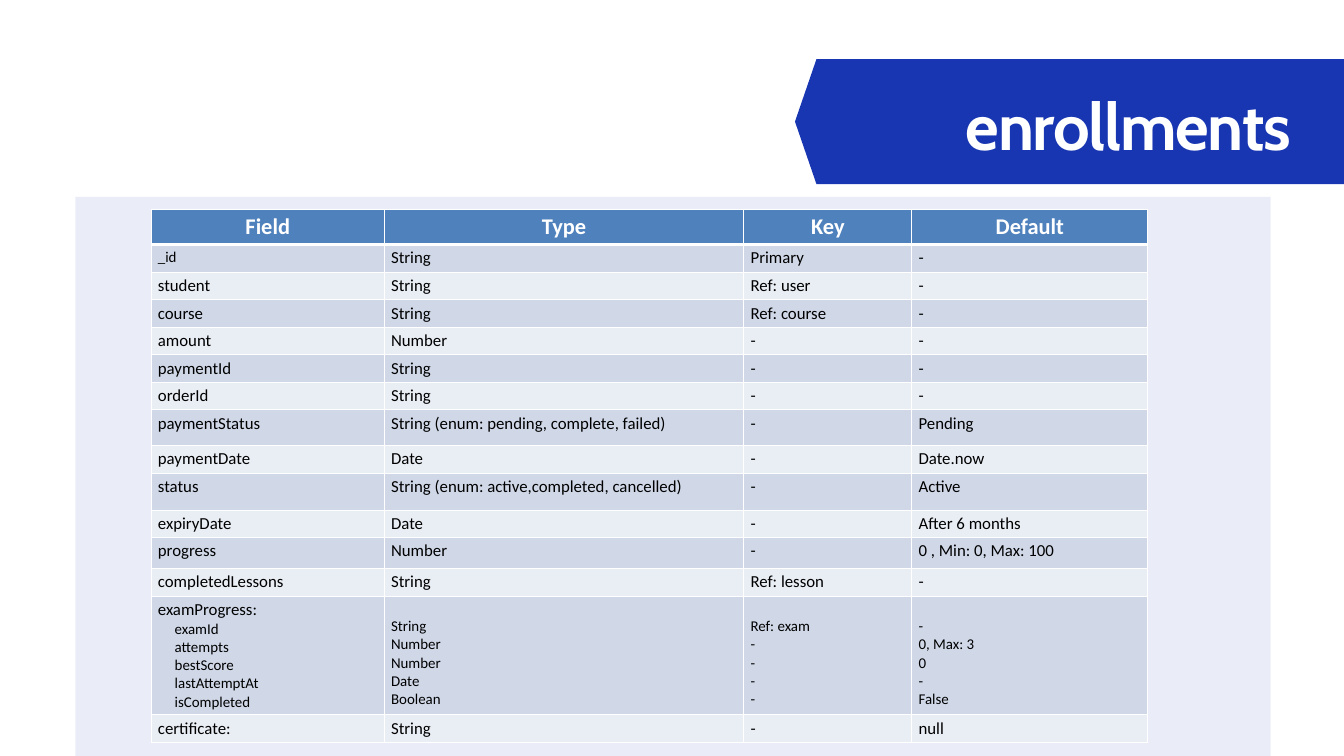
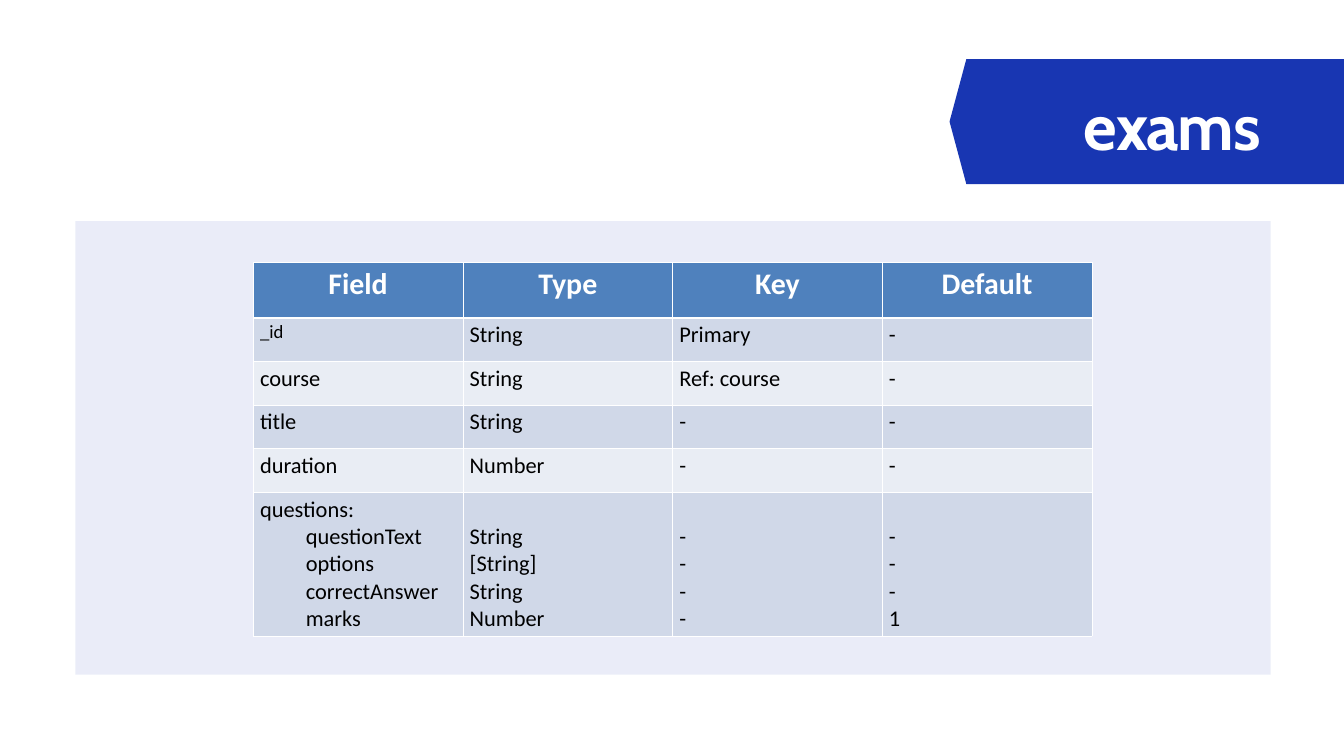
from dataclasses import dataclass

from lxml.etree import SubElement
from pptx import Presentation
from pptx.dml.color import RGBColor
from pptx.enum.shapes import MSO_SHAPE
from pptx.enum.text import MSO_ANCHOR, MSO_AUTO_SIZE, PP_ALIGN
from pptx.oxml import parse_xml
from pptx.oxml.ns import nsdecls, qn
from pptx.util import Inches, Pt


@dataclass(frozen=True)
class Theme:
    blue: str = "1836B2"
    header: str = "4F81BD"
    dark_band: str = "D0D8E8"
    light_band: str = "E9EDF4"
    white: str = "FFFFFF"
    black: str = "000000"
    title_font: str = "Cabin"
    table_font: str = "Calibri"
    title_size: int = 70
    title_leading: int = 98
    panel_opacity: int = 9  # percent


THEME = Theme()
COLUMNS = ["Field", "Type", "Key", "Default"]

# Schemas: a list in a cell holds the subfields of an embedded object
SCHEMAS = [
    dict(
        title="enrollments", title_left=14.37, title_width=6.29,
        flag_left=11.83, flag_width=8.78, flag_tip=0.32,
        panel_top=2.93, panel_height=8.53,
        table_left=2.25, table_top=3.12,
        widths=[3.47, 5.35, 2.5, 3.51],
        header_height=0.52, row_height=0.41,
        tall_rows={"paymentStatus": 0.53, "status": 0.55, "progress": 0.46,
                   "examProgress:": 1.77},
        header_size=24, body_size=18, id_size=16, nested_size=16,
        nested_indent=0.25,
        rows=[
            ["_id", "String", "Primary", "-"],
            ["student", "String", "Ref: user", "-"],
            ["course", "String", "Ref: course", "-"],
            ["amount", "Number", "-", "-"],
            ["paymentId", "String", "-", "-"],
            ["orderId", "String", "-", "-"],
            ["paymentStatus", "String (enum: pending, complete, failed)", "-", "Pending"],
            ["paymentDate", "Date", "-", "Date.now"],
            ["status", "String (enum: active,completed, cancelled)", "-", "Active"],
            ["expiryDate", "Date", "-", "After 6 months"],
            ["progress", "Number", "-", "0 , Min: 0, Max: 100"],
            ["completedLessons", "String", "Ref: lesson", "-"],
            [["examProgress:", "examId", "attempts", "bestScore", "lastAttemptAt",
              "isCompleted"],
             ["String", "Number", "Number", "Date", "Boolean"],
             ["Ref: exam", "-", "-", "-", "-"],
             ["-", "0, Max: 3", "0", "-", "False"]],
            ["certificate:", "String", "-", "null"],
        ],
    ),
    dict(
        title="exams", title_left=16.13, title_width=4.95,
        flag_left=14.13, flag_width=6.92, flag_tip=0.25,
        panel_top=3.29, panel_height=6.75,
        table_left=3.77, table_top=3.91,
        widths=[3.12] * 4,
        header_height=0.82, row_height=0.65,
        tall_rows={"questions:": 0.72},
        header_size=32, body_size=24, id_size=20, nested_size=24,
        nested_indent=0.68,
        rows=[
            ["_id", "String", "Primary", "-"],
            ["course", "String", "Ref: course", "-"],
            ["title", "String", "-", "-"],
            ["duration", "Number", "-", "-"],
            [["questions:", "questionText", "options", "correctAnswer", "marks"],
             ["String", "[String]", "String", "Number"],
             ["-", "-", "-", "-"],
             ["-", "-", "-", "1"]],
        ],
    ),
]


def add_span(para, text, font, size, color, bold=False):
    span = para.add_run()
    span.text = text
    span.font.name = font
    span.font.size = Pt(size)
    span.font.bold = bold
    span.font.color.rgb = RGBColor.from_string(color)
    return span


def style_cell(cell, color, bottom_width=1):
    cell.fill.solid()
    cell.fill.fore_color.rgb = RGBColor.from_string(color)
    properties = cell._tc.get_or_add_tcPr()
    for position, side in enumerate("LRTB"):
        width = Pt(bottom_width if side == "B" else 1)
        properties.insert(position, parse_xml(
            f'<a:ln{side} {nsdecls("a")} w="{width}"><a:solidFill>'
            f'<a:srgbClr val="{THEME.white}"/></a:solidFill></a:ln{side}>'))


deck = Presentation()
deck.slide_width = Inches(20)
deck.slide_height = Inches(11.25)

for schema in SCHEMAS:
    page = deck.slides.add_slide(deck.slide_layouts[5])

    # Title flag, pointed at both ends and running past the right edge
    left, tip = schema["flag_left"], schema["flag_tip"]
    right = left + schema["flag_width"]
    top, middle, bottom = 0.88, 1.81, 2.74
    outline = [(left + tip, top), (right - tip, top), (right, middle),
               (right - tip, bottom), (left + tip, bottom), (left, middle)]
    points = [(Inches(x), Inches(y)) for x, y in outline]
    builder = page.shapes.build_freeform(*points[0])
    builder.add_line_segments(points[1:])
    flag = builder.convert_to_shape()

    # Pale panel behind the table
    panel = page.shapes.add_shape(
        MSO_SHAPE.RECTANGLE, Inches(1.12), Inches(schema["panel_top"]),
        Inches(17.79), Inches(schema["panel_height"]))
    for shape in (flag, panel):
        shape.shadow.inherit = False
        shape.fill.solid()
        shape.fill.fore_color.rgb = RGBColor.from_string(THEME.blue)
        shape.line.fill.background()
    tint = next(panel.element.spPr.iter(qn("a:srgbClr")))
    SubElement(tint, qn("a:alpha")).set("val", str(THEME.panel_opacity * 1000))

    # Title, raised above the flag
    title = page.shapes.title
    flag.element.addnext(title.element)
    title.left, title.top = Inches(schema["title_left"]), Inches(1.07)
    title.width, title.height = Inches(schema["title_width"]), Inches(1.29)
    frame = title.text_frame
    frame.margin_left = frame.margin_right = 0
    frame.margin_top = frame.margin_bottom = 0
    frame.vertical_anchor = MSO_ANCHOR.TOP
    frame.auto_size = MSO_AUTO_SIZE.NONE
    frame.word_wrap = True
    para = frame.paragraphs[0]
    para.alignment = PP_ALIGN.LEFT
    para.line_spacing = Pt(THEME.title_leading)
    span = add_span(para, schema["title"], THEME.title_font, THEME.title_size,
                    THEME.white, bold=True)
    span.font._element.set("spc", "-140")

    # Table grid
    rows = schema["rows"]
    heights = [schema["header_height"]]
    for row in rows:
        name = row[0][0] if isinstance(row[0], list) else row[0]
        heights.append(schema["tall_rows"].get(name, schema["row_height"]))
    table = page.shapes.add_table(
        len(heights), len(COLUMNS), Inches(schema["table_left"]),
        Inches(schema["table_top"]), Inches(sum(schema["widths"])),
        Inches(sum(heights))).table
    for column, width in zip(table.columns, schema["widths"]):
        column.width = Inches(width)
    for table_row, height in zip(table.rows, heights):
        table_row.height = Inches(height)

    # Header row
    for index, label in enumerate(COLUMNS):
        cell = table.cell(0, index)
        style_cell(cell, THEME.header, bottom_width=3)
        para = cell.text_frame.paragraphs[0]
        para.alignment = PP_ALIGN.CENTER
        add_span(para, label, THEME.table_font, schema["header_size"],
                 THEME.white, bold=True)

    # Field rows
    for row_index, row in enumerate(rows, 1):
        band = THEME.dark_band if row_index % 2 else THEME.light_band
        for index, content in enumerate(row):
            cell = table.cell(row_index, index)
            style_cell(cell, band)
            nested = isinstance(content, list)
            if nested and index:
                # Start level with the first subfield, one line down
                cell.margin_top = Inches(0.05) + Pt(schema["nested_size"] * 1.22)
            frame = cell.text_frame
            for line, text in enumerate(content if nested else [content]):
                para = frame.add_paragraph() if line else frame.paragraphs[0]
                size = schema["body_size"]
                if nested and (index or line):
                    size = schema["nested_size"]
                elif text == "_id":
                    size = schema["id_size"]
                if line and index == 0:
                    indent = Inches(schema["nested_indent"])
                    para._p.get_or_add_pPr().set("marL", str(indent))
                add_span(para, text, THEME.table_font, size, THEME.black)

deck.save("out.pptx")
